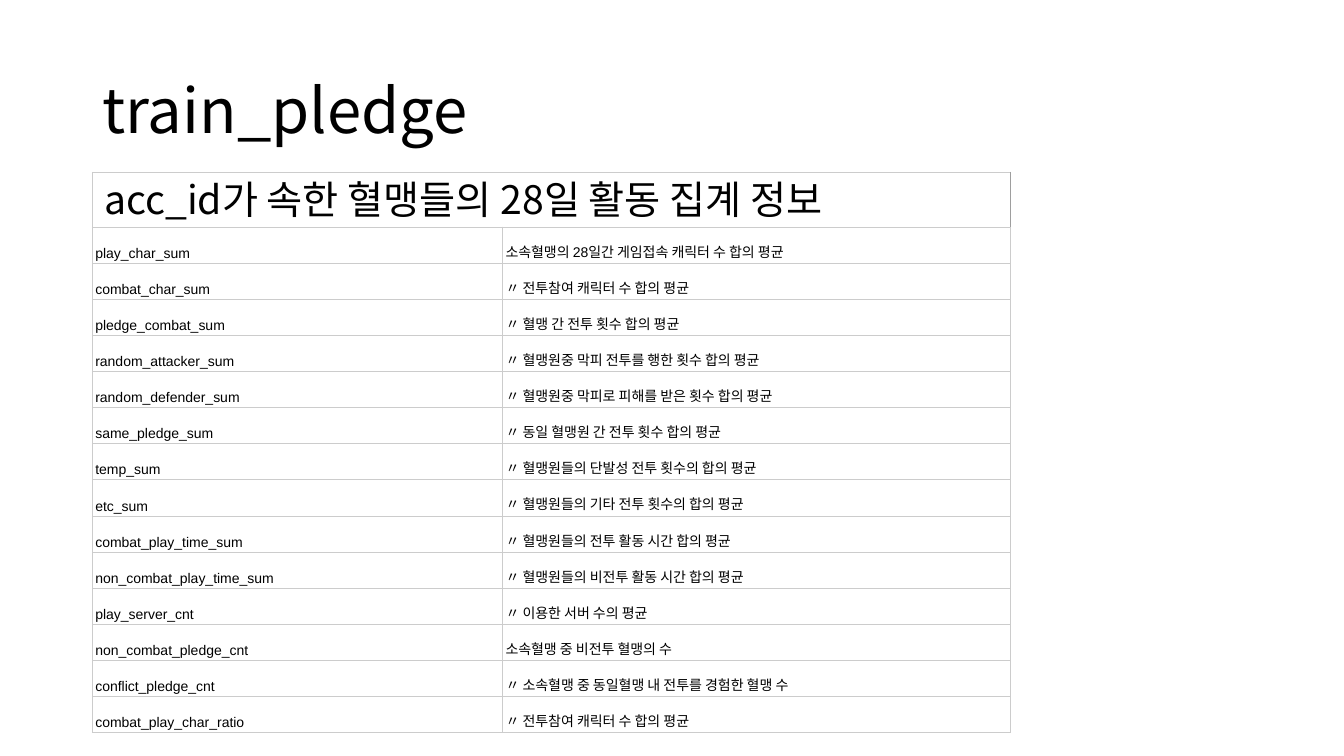
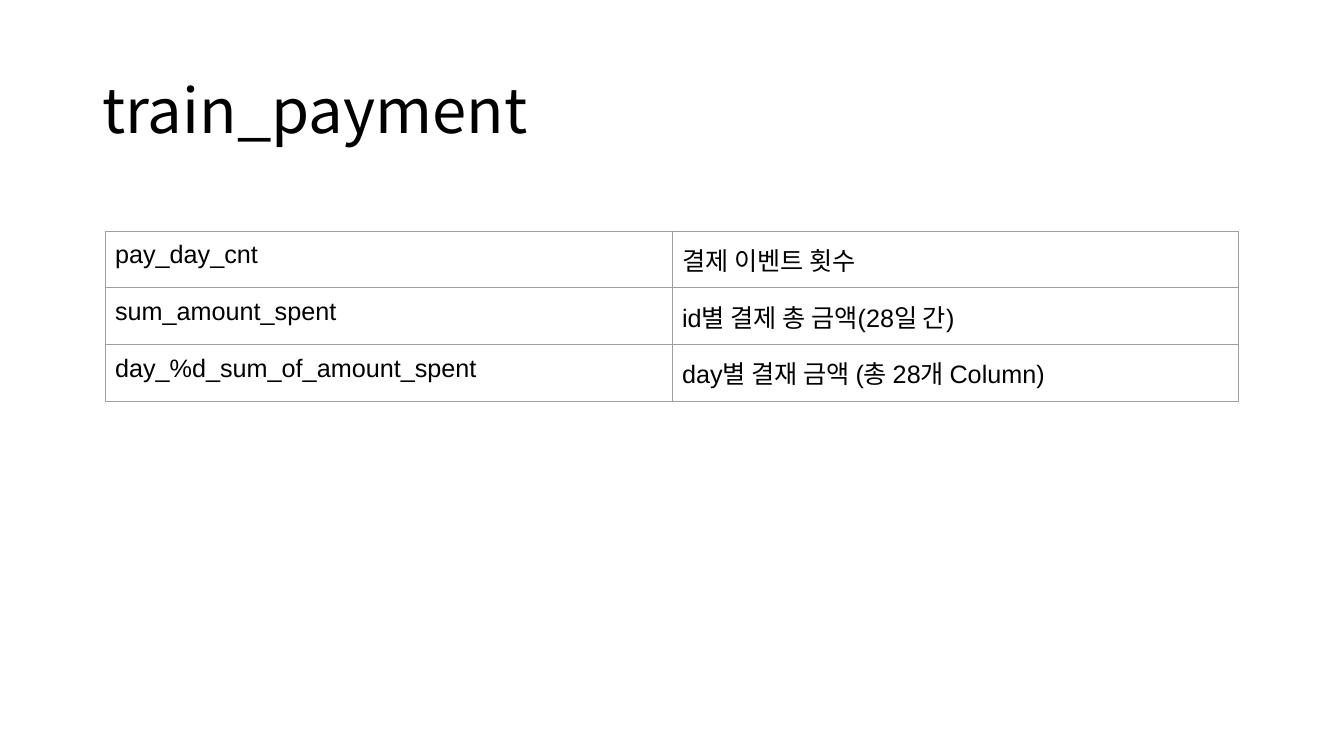
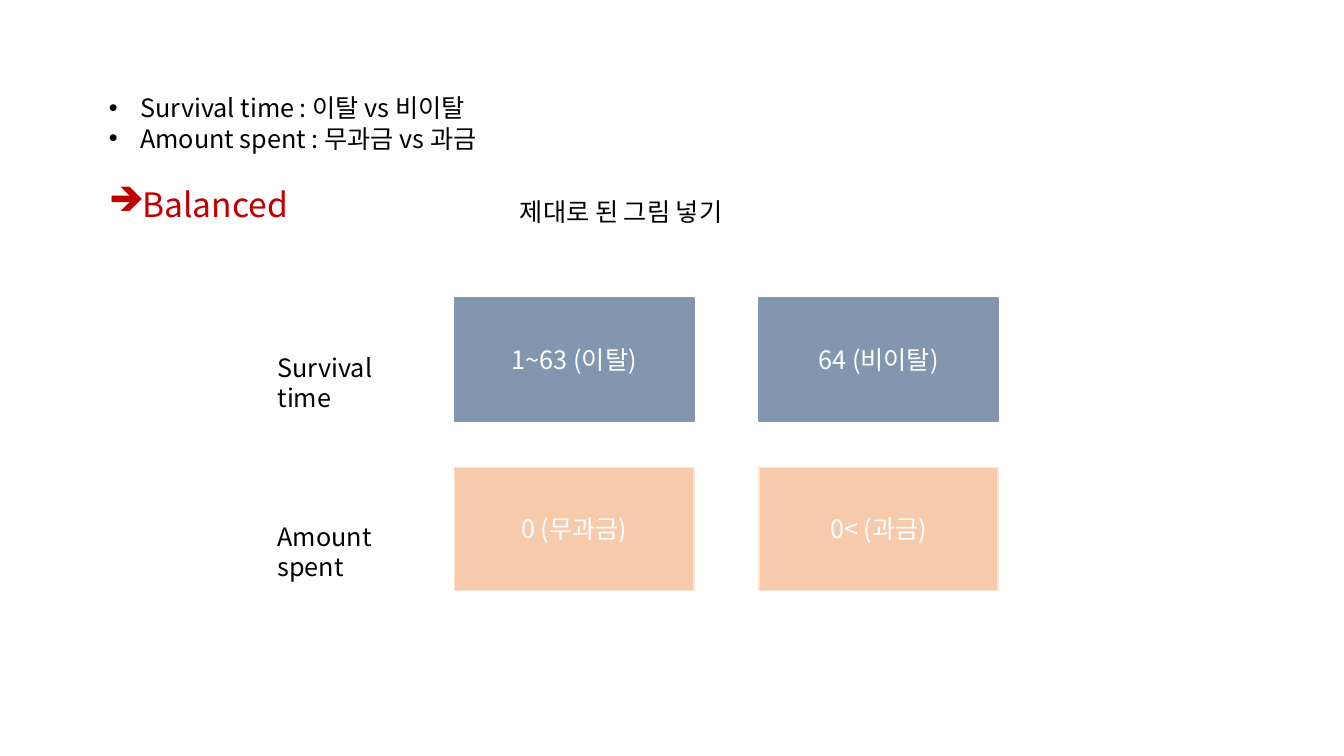
from lxml.etree import SubElement
from pptx import Presentation
from pptx.dml.color import RGBColor
from pptx.enum.shapes import MSO_SHAPE
from pptx.enum.text import MSO_ANCHOR as ANCHOR, MSO_AUTO_SIZE as AUTO, PP_ALIGN as ALIGN
from pptx.oxml import parse_xml
from pptx.oxml.ns import nsdecls, qn
from pptx.util import Pt

COLORS = {
    "black": "000000", "white": "FFFFFF", "red": "C00000",
    "light_rule": "CCCCCC", "dark_rule": "9E9E9E",
    "blue": "8296B0", "peach": "F7CAAC", "peach_line": "FBE4D4",
}
CJK = "Noto Sans CJK KR"
LATIN = "Arial"
SYMBOLS = "Wingdings"
ARROW = "è"  # heavy right arrow in the symbol font
TITLE_ONLY, BLANK = 5, 6

PLEDGE_ROWS = [
    ("play_char_sum", "소속혈맹의 28일간 게임접속 캐릭터 수 합의 평균"),
    ("combat_char_sum", "〃 전투참여 캐릭터 수 합의 평균"),
    ("pledge_combat_sum", "〃 혈맹 간 전투 횟수 합의 평균"),
    ("random_attacker_sum", "〃 혈맹원중 막피 전투를 행한 횟수 합의 평균"),
    ("random_defender_sum", "〃 혈맹원중 막피로 피해를 받은 횟수 합의 평균"),
    ("same_pledge_sum", "〃 동일 혈맹원 간 전투 횟수 합의 평균"),
    ("temp_sum", "〃 혈맹원들의 단발성 전투 횟수의 합의 평균"),
    ("etc_sum", "〃 혈맹원들의 기타 전투 횟수의 합의 평균"),
    ("combat_play_time_sum", "〃 혈맹원들의 전투 활동 시간 합의 평균"),
    ("non_combat_play_time_sum", "〃 혈맹원들의 비전투 활동 시간 합의 평균"),
    ("play_server_cnt", "〃 이용한 서버 수의 평균"),
    ("non_combat_pledge_cnt", "소속혈맹 중 비전투 혈맹의 수"),
    ("conflict_pledge_cnt", "〃 소속혈맹 중 동일혈맹 내 전투를 경험한 혈맹 수"),
    ("combat_play_char_ratio", "〃 전투참여 캐릭터 수 합의 평균"),
]
PAYMENT_ROWS = [
    ("pay_day_cnt", "결제 이벤트 횟수"),
    ("sum_amount_spent", "id별 결제 총 금액(28일 간)"),
    ("day_%d_sum_of_amount_spent", "day별 결재 금액 (총 28개 Column)"),
]
GROUPS = [
    ("Survival time", ("1~63 (이탈)", "64 (비이탈)"), "blue", "blue"),
    ("Amount spent", ("0 (무과금)", "0< (과금)"), "peach", "peach_line"),
]
BULLETS = ["Survival time : 이탈 vs 비이탈", "Amount spent : 무과금 vs 과금"]


def rgb(name):
    return RGBColor.from_string(COLORS[name])


def set_attrs(obj, values):
    for name, value in values.items():
        setattr(obj, name, value)


def write(p, text, size=18, color="black", font=CJK, **para):
    """Put one run in the paragraph; para holds paragraph attributes."""
    set_attrs(p, para)
    r = p.add_run()
    r.text = text
    set_attrs(r.font, {"size": Pt(size), "name": font, "bold": False})
    r.font.color.rgb = rgb(color)
    SubElement(r.font._element, qn("a:ea")).set("typeface", CJK)


def add_title(slide, text):
    sp = slide.shapes.title
    set_attrs(sp, {"left": Pt(66), "top": Pt(28.75), "width": Pt(828), "height": Pt(104.4)})
    sp.text_frame.vertical_anchor = ANCHOR.MIDDLE
    write(sp.text_frame.paragraphs[0], text, 44, alignment=ALIGN.LEFT, line_spacing=0.9)


def add_grid(slide, left, top, widths, heights):
    """Add an unstyled table with the given column widths and row heights."""
    frame = slide.shapes.add_table(len(heights), len(widths), Pt(left), Pt(top),
                                   Pt(sum(widths)), Pt(sum(heights)))
    table = frame.table
    set_attrs(table, {"first_row": False, "horz_banding": False})
    for col, width in zip(table.columns, widths):
        col.width = Pt(width)
    for row, height in zip(table.rows, heights):
        row.height = Pt(height)
    return table


def format_cell(cell, rule, margins, fill=None, anchor=ANCHOR.TOP, right_rule=None):
    """Set borders, fill and margins (left, top, right, bottom)."""
    tcPr = cell._tc.get_or_add_tcPr()
    rules = {"L": rule, "R": right_rule or rule, "T": rule, "B": rule}
    for i, (side, color) in enumerate(rules.items()):
        tcPr.insert(i, parse_xml(
            f'<a:ln{side} {nsdecls("a")} w="{Pt(0.75)}"><a:solidFill>'
            f'<a:srgbClr val="{COLORS[color]}"/></a:solidFill></a:ln{side}>'))
    if fill:
        cell.fill.solid()
        cell.fill.fore_color.rgb = rgb(fill)
    else:
        cell.fill.background()
    for side, margin in zip(("left", "top", "right", "bottom"), margins):
        setattr(cell, f"margin_{side}", Pt(margin))
    cell.vertical_anchor = anchor


def fill_rows(table, rows, first, text, fills=(None, None), **look):
    for i, row in enumerate(rows, first):
        for j, value in enumerate(row):
            cell = table.cell(i, j)
            format_cell(cell, fill=fills[j], **look)
            write(cell.text_frame.paragraphs[0], value, font=LATIN, **text)


def add_text_box(shapes, left, top, width, height):
    tf = shapes.add_textbox(Pt(left), Pt(top), Pt(width), Pt(height)).text_frame
    set_attrs(tf, {"word_wrap": True, "auto_size": AUTO.SHAPE_TO_FIT_TEXT})
    return tf


def add_box(shapes, left, top, width, height, text, fill, line):
    sp = shapes.add_shape(MSO_SHAPE.RECTANGLE, Pt(left), Pt(top), Pt(width), Pt(height))
    sp.shadow.inherit = False
    sp.fill.solid()
    sp.fill.fore_color.rgb = rgb(fill)
    sp.line.color.rgb = rgb(line)
    sp.line.width = Pt(1)
    sp.text_frame.vertical_anchor = ANCHOR.MIDDLE
    write(sp.text_frame.paragraphs[0], text, color="white", alignment=ALIGN.CENTER)


def add_bullet(p, char, font, color, left, indent):
    pPr = p._p.get_or_add_pPr()
    pPr.set("marL", str(Pt(left)))
    pPr.set("indent", str(Pt(indent)))
    clr = SubElement(pPr, qn("a:buClr"))
    SubElement(clr, qn("a:srgbClr")).set("val", COLORS[color])
    bu_font = SubElement(pPr, qn("a:buFont"))
    bu_font.set("typeface", font)
    if font == SYMBOLS:
        bu_font.set("charset", "2")
    SubElement(pPr, qn("a:buChar")).set("char", char)


def pledge_slide(prs):
    slide = prs.slides.add_slide(prs.slide_layouts[TITLE_ONLY])
    add_title(slide, "train_pledge")
    table = add_grid(slide, 66, 123, (293, 363), [27.4] + [25.8] * len(PLEDGE_ROWS))
    look = {"rule": "light_rule", "anchor": ANCHOR.BOTTOM}
    for j in range(2):
        format_cell(table.cell(0, j), margins=(8.5, 1.4, 2.1, 1.4),
                    right_rule="dark_rule", **look)
    head = table.cell(0, 0)
    head.merge(table.cell(0, 1))
    write(head.text_frame.paragraphs[0], "acc_id가 속한 혈맹들의 28일 활동 집계 정보", 28,
          line_spacing=0.9)
    fill_rows(table, PLEDGE_ROWS, 1, {"size": 10, "line_spacing": 1.15},
              (None, "white"), margins=(2.1, 1.4, 2.1, 1.4), **look)


def payment_slide(prs):
    slide = prs.slides.add_slide(prs.slide_layouts[TITLE_ONLY])
    add_title(slide, "train_payment")
    table = add_grid(slide, 75, 165, (405, 405), [30.2] * len(PAYMENT_ROWS))
    fill_rows(table, PAYMENT_ROWS, 0, {"size": 18}, rule="dark_rule", margins=[7.2] * 4)


def balance_slide(prs):
    slide = prs.slides.add_slide(prs.slide_layouts[BLANK])
    shapes = slide.shapes.add_group_shape().shapes
    for i, (label, values, fill, line) in enumerate(GROUPS):
        top = 212.8 + i * 121
        for j, value in enumerate(values):
            add_box(shapes, 324.7 + j * 217.4, top, 170.9, 88, value, fill, line)
        tf = add_text_box(shapes, 191.2, top + 35.2, 119.2, 18.7)
        write(tf.paragraphs[0], label)

    tf = add_text_box(slide.shapes, 70.6, 62.6, 480, 101.5)
    for i, text in enumerate(BULLETS):
        p = tf.add_paragraph() if i else tf.paragraphs[0]
        write(p, text)
        add_bullet(p, "•", LATIN, "black", 22.5, -22.5)
    p = tf.add_paragraph()
    write(p, "Balanced", 24, "red", space_before=Pt(22))
    add_bullet(p, ARROW, SYMBOLS, "red", 0, -12)

    tf = add_text_box(slide.shapes, 364.3, 136.8, 270.7, 28.8)
    write(tf.paragraphs[0], "제대로 된 그림 넣기")


def main():
    prs = Presentation()
    set_attrs(prs, {"slide_width": Pt(960), "slide_height": Pt(540)})
    pledge_slide(prs)
    payment_slide(prs)
    balance_slide(prs)
    prs.save("out.pptx")


if __name__ == "__main__":
    main()
